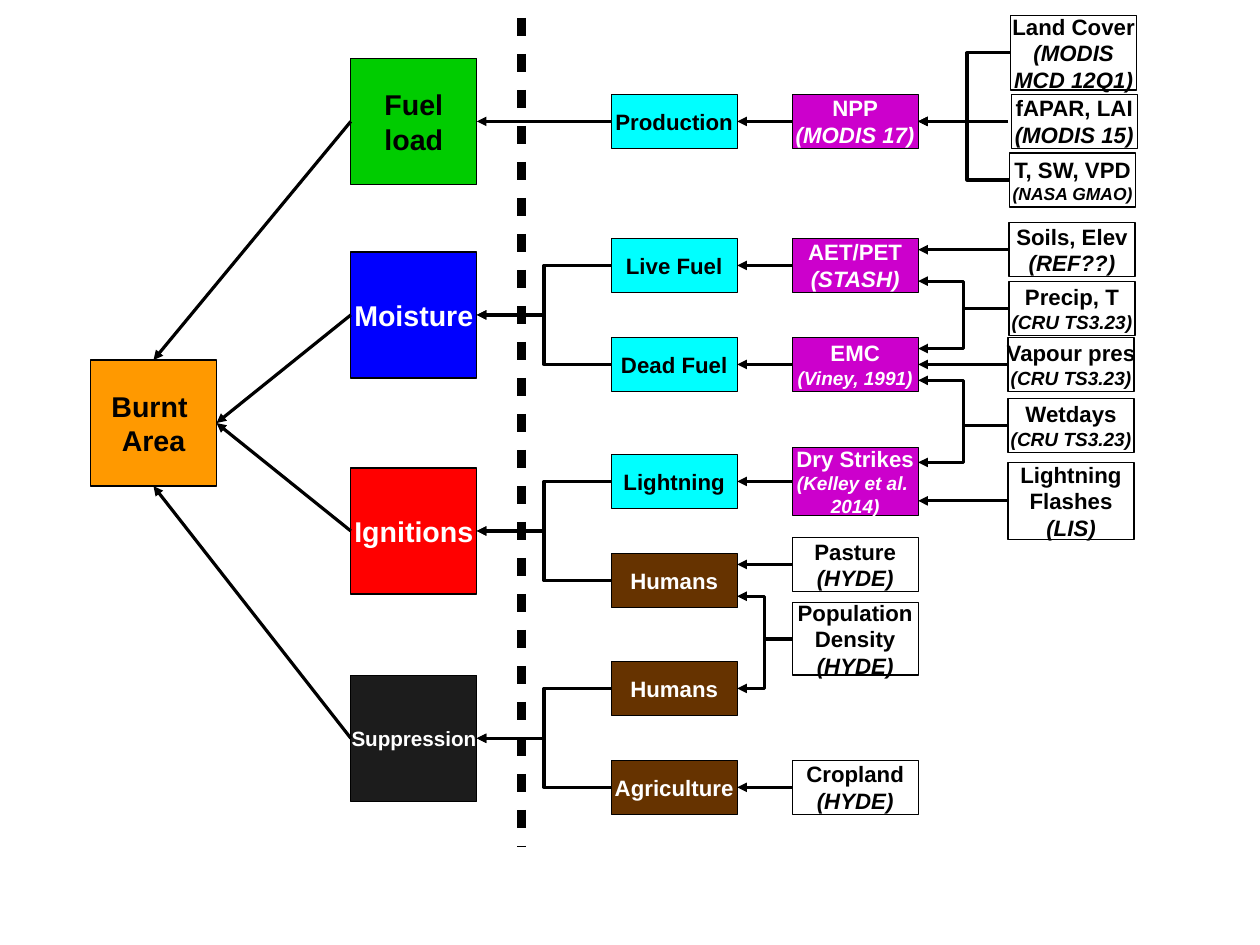
import pptx
import pptx.util
import pptx.dml.color
import pptx.enum.shapes
import pptx.enum.text
import pptx.oxml
import pptx.oxml.ns
from pptx.util import Pt

COLORS = {
    "black": "000000", "white": "FFFFFF", "orange": "FF9900", "green": "00CC00",
    "blue": "0000FF", "red": "FF0000", "charcoal": "1C1C1C", "cyan": "00FFFF",
    "brown": "663300", "purple": "CC00CC",
}
DARK_FILLS = ("blue", "red", "charcoal", "brown", "purple")
BOX_W = 79.4
BOX_H = 34
CONNECTOR = pptx.enum.shapes.MSO_CONNECTOR

# Left edges of the columns, and right edges where arrows end
RESULT, FACTOR, DRIVER, MODEL, DATA = 57, 221, 385, 499, 635
RESULT_END, FACTOR_END, DRIVER_END, MODEL_END = (
    x + BOX_W for x in (RESULT, FACTOR, DRIVER, MODEL))

prs = pptx.Presentation()
prs.slide_width, prs.slide_height = Pt(793.7), Pt(595.3)
s = prs.slides.add_slide(prs.slide_layouts[6])


def rgb(name):
    return pptx.dml.color.RGBColor.from_string(COLORS[name])


def add_line(x1, y1, x2, y2, width=0, arrow=True, bend_x=None):
    kind = CONNECTOR.STRAIGHT if bend_x is None else CONNECTOR.ELBOW
    c = s.shapes.add_connector(kind, Pt(x1), Pt(y1), Pt(x2), Pt(y2))
    c.line.color.rgb = rgb("black")
    c.line.width = Pt(width)
    sp_pr = c._element.spPr
    ns = pptx.oxml.ns.nsdecls("a")
    if arrow:
        c.line._ln.append(pptx.oxml.parse_xml(f'<a:tailEnd {ns} type="triangle"/>'))
    if bend_x is not None:
        adj = round((x1 - bend_x) / (x1 - x2) * 100000)
        geom = sp_pr.find(pptx.oxml.ns.qn("a:prstGeom"))
        for old in list(geom):
            geom.remove(old)
        geom.append(pptx.oxml.parse_xml(
            f'<a:avLst {ns}><a:gd name="adj1" fmla="val {adj}"/></a:avLst>'))
    sp_pr.append(pptx.oxml.parse_xml(f"<a:effectLst {ns}/>"))
    return c


# Boxes: left, centre y, height, fill, text, size, size of the source in italics
boxes = [
    (RESULT, 266.5, BOX_W, "orange", "Burnt \nArea", 18, 18),
    (FACTOR, 76.5, BOX_W, "green", "Fuel\nload", 18, 18),
    (FACTOR, 198.4, BOX_W, "blue", "Moisture", 18, 18),
    (FACTOR, 334.5, BOX_W, "red", "Ignitions", 18, 18),
    (FACTOR, 465.1, BOX_W, "charcoal", "Suppression", 13, 13),
    (DRIVER, 76.5, BOX_H, "cyan", "Production", 14, 14),
    (DRIVER, 167.2, BOX_H, "cyan", "Live Fuel", 14, 14),
    (DRIVER, 229.6, BOX_H, "cyan", "Dead Fuel", 14, 14),
    (DRIVER, 303.3, BOX_H, "cyan", "Lightning", 14, 14),
    (DRIVER, 365.7, BOX_H, "brown", "Humans", 14, 14),
    (DRIVER, 433.7, BOX_H, "brown", "Humans", 14, 14),
    (DRIVER, 496, BOX_H, "brown", "Agriculture", 14, 14),
    (MODEL, 76.5, BOX_H, "purple", "NPP\n(MODIS 17)", 14, 14),
    (MODEL, 167.2, BOX_H, "purple", "AET/PET\n(STASH)", 14, 14),
    (MODEL, 229.6, BOX_H, "purple", "EMC\n(Viney, 1991)", 14, 12),
    (MODEL, 303.3, 42.5, "purple", "Dry Strikes\n(Kelley et al. \n2014)", 14, 12),
    (MODEL, 355.6, BOX_H, "white", "Pasture\n(HYDE)", 14, 14),
    (MODEL, 402.5, 45.4, "white", "Population\nDensity\n(HYDE)", 14, 14),
    (MODEL, 496, BOX_H, "white", "Cropland\n(HYDE)", 14, 14),
    (DATA, 315.5, 48.4, "white", "Lightning\nFlashes\n(LIS)", 14, 14),
    (DATA, 267.9, BOX_H, "white", "Wetdays\n(CRU TS3.23)", 14, 12),
    (DATA, 229.6, BOX_H, "white", "Vapour pres\n(CRU TS3.23)", 14, 12),
    (DATA + 0.6, 194.2, BOX_H, "white", "Precip, T\n(CRU TS3.23)", 14, 12),
    (DATA + 0.6, 157.3, BOX_H, "white", "Soils, Elev\n(REF??)", 14, 14),
    (DATA + 1, 113.4, BOX_H, "white", "T, SW, VPD\n(NASA GMAO)", 14, 11),
    (DATA + 2, 76.5, BOX_H, "white", "fAPAR, LAI\n(MODIS 15)", 14, 14),
    (DATA + 1.6, 33.3, 46.8, "white", "Land Cover\n(MODIS\nMCD 12Q1)", 14, 14),
]
for left, mid, height, fill, text, size, source_size in boxes:
    sp = s.shapes.add_shape(pptx.enum.shapes.MSO_SHAPE.RECTANGLE, Pt(left),
                            Pt(mid - height / 2), Pt(BOX_W), Pt(height))
    sp.shadow.inherit = False
    sp.fill.solid()
    sp.fill.fore_color.rgb = rgb(fill)
    sp.line.color.rgb = rgb("black")
    sp.line.width = Pt(0)
    tf = sp.text_frame
    tf.word_wrap = False
    tf.vertical_anchor = pptx.enum.text.MSO_ANCHOR.MIDDLE
    tf.text = text
    in_source = False
    for p in tf.paragraphs:
        p.alignment = pptx.enum.text.PP_ALIGN.CENTER
        in_source = in_source or p.text.startswith("(")
        for r in p.runs:
            r.font.name = "Arial"
            r.font.bold = True
            r.font.italic = in_source
            r.font.size = Pt(source_size if in_source else size)
            r.font.color.rgb = rgb("white" if fill in DARK_FILLS else "black")

# Factors to burnt area
result_mid = RESULT + BOX_W / 2
for y1, x2, y2 in [(76.5, result_mid, 226.8), (198.4, RESULT_END, 266.5),
                   (334.5, RESULT_END, 266.5), (465.1, result_mid, 306.2)]:
    add_line(FACTOR, y1, x2, y2)

# Straight arrows between neighbouring columns
straight = [
    (DRIVER, FACTOR_END, [76.5]),
    (MODEL, DRIVER_END, [76.5, 167.2, 229.6, 303.3, 355.6, 496]),
    (DATA, MODEL_END, [76.5, 157.3, 229.6, 315.5]),
]
for x1, x2, rows in straight:
    for y in rows:
        add_line(x1, y, x2, y)

# Bent arrows: start x, end x, x of the bend, (start y, end y) pairs
bent = [
    (DRIVER, FACTOR_END, 342.7, [(167.2, 198.4), (229.6, 198.4), (303.3, 334.5),
                                 (365.7, 334.5), (433.7, 465.1), (496, 465.1)]),
    (MODEL, DRIVER_END, 481.8, [(402.5, 375.6), (402.5, 433.7)]),
    (DATA, MODEL_END, 606.8, [(194.2, 177.1), (194.2, 219.6),
                              (267.9, 239.6), (267.9, 291.3)]),
    (DATA + 1, MODEL_END, 609.2, [(33.3, 76.5), (113.4, 76.5)]),
]
for x1, x2, bend_x, pairs in bent:
    for y1, y2 in pairs:
        add_line(x1, y1, x2, y2, bend_x=bend_x)

# Dashed divider
divider = add_line(328.8, 11.3, 328.8, 533, width=5.67, arrow=False)
divider.line._ln.append(pptx.oxml.parse_xml(
    f'<a:custDash {pptx.oxml.ns.nsdecls("a")}><a:ds d="200000" sp="200000"/></a:custDash>'))

prs.save("out.pptx")
